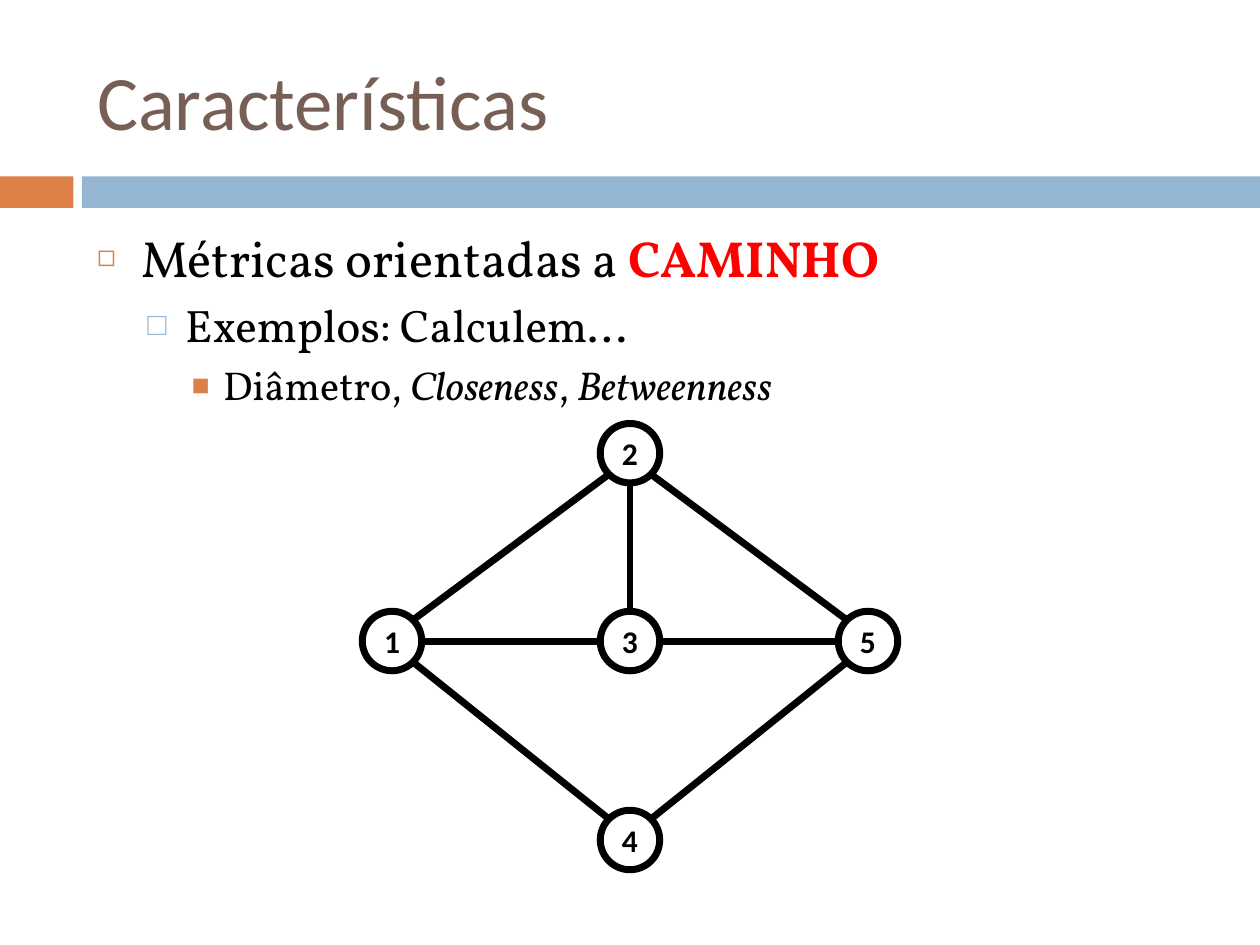
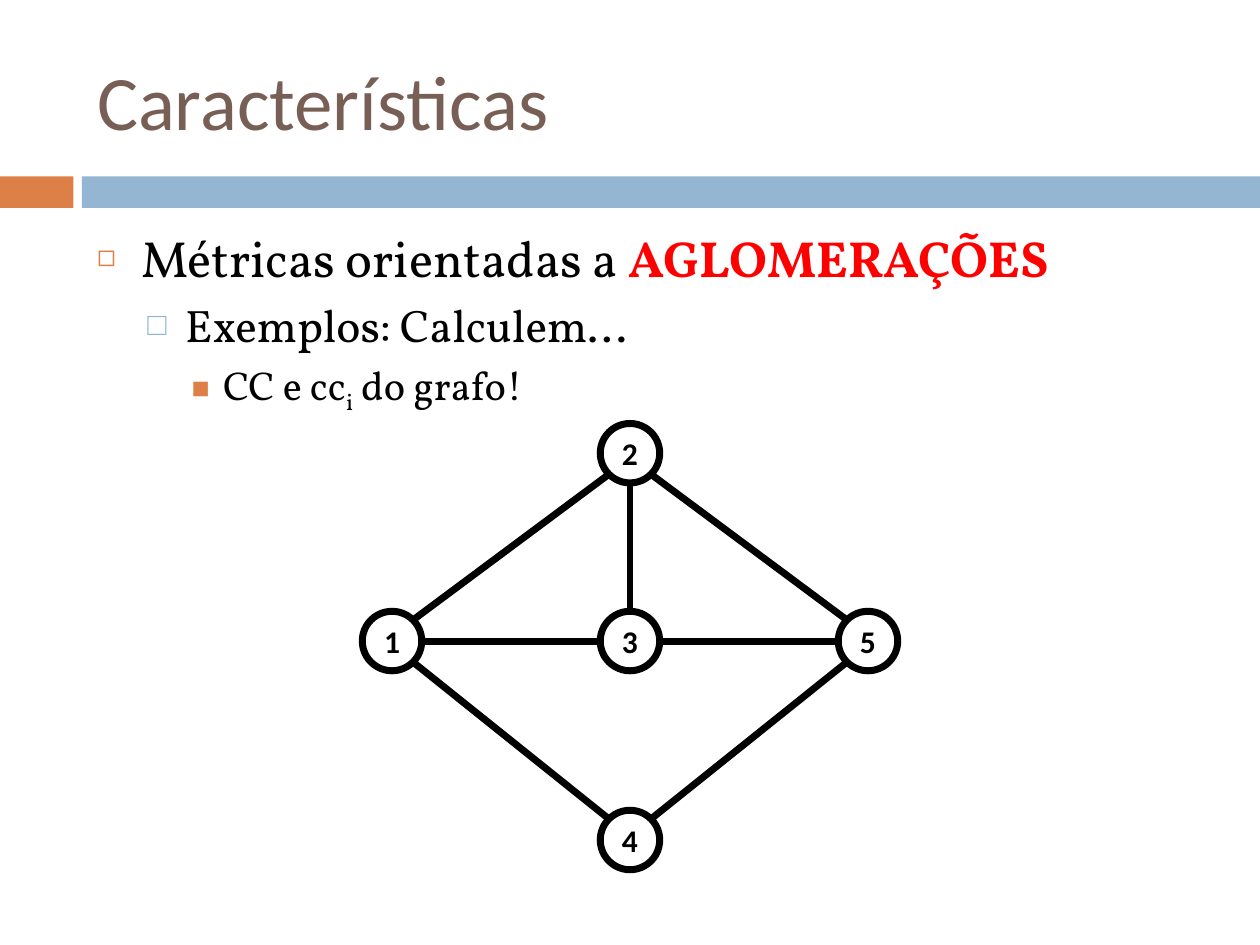
from math import sqrt

from lxml import etree
from pptx import Presentation
from pptx.dml.color import RGBColor
from pptx.enum import shapes, text
from pptx.oxml import ns
from pptx.util import Pt

ORANGE = RGBColor(0xDD, 0x80, 0x47)
BLUE = RGBColor(0x94, 0xB6, 0xD2)
BROWN = RGBColor(0x77, 0x5F, 0x55)
RED = RGBColor(0xFF, 0x00, 0x00)
BLACK = RGBColor(0x00, 0x00, 0x00)
WHITE = RGBColor(0xFF, 0xFF, 0xFF)

HEADING_FONT = "Calibri"
BODY_FONT = "Vollkorn"

# Per list level: size, left margin, hanging indent, space before, bullet, colour, bullet %
LEVELS = [
    (29, 25.2, 25.2, 0, "◻", ORANGE, 60),
    (26, 50.4, 21.6, 5.5, "□", BLUE, 70),
    (23, 72, 18, 5, "■", ORANGE, 75),
]

# Graph: node centres in points, and the pairs that are joined
RADIUS = 17
STROKE = 4
NODES = {
    "2": (360, 259),
    "5": (496, 366.3),
    "1": (224, 366.3),
    "4": (360, 480),
    "3": (360, 366.3),
}
EDGES = ["41", "12", "13", "23", "52", "54", "35"]


class Deck:
    def __init__(self):
        self.prs = Presentation()
        self.prs.slide_width, self.prs.slide_height = Pt(720), Pt(540)
        self.slide = None

    def new_slide(self, heading):
        self.slide = self.prs.slides.add_slide(self.prs.slide_layouts[1])
        self.band(0, 42, ORANGE)
        self.band(46.8, 673.2, BLUE)
        self.title(heading)

    def band(self, left, width, colour):
        band = self.slide.shapes.add_shape(
            shapes.MSO_SHAPE.RECTANGLE, Pt(left), Pt(100.8), Pt(width), Pt(18))
        band.shadow.inherit = False
        band.fill.solid()
        band.fill.fore_color.rgb = colour
        band.line.fill.background()

    def place(self, holder, top, height, anchor):
        holder.left, holder.top = Pt(48.24), Pt(top)
        holder.width, holder.height = Pt(642.24), Pt(height)
        frame = holder.text_frame
        frame.auto_size = text.MSO_AUTO_SIZE.NONE
        frame.word_wrap = True
        frame.vertical_anchor = anchor
        return frame

    def style(self, font, name, size, colour, bold=False):
        font.name, font.size, font.bold = name, Pt(size), bold
        font.color.rgb = colour

    def title(self, heading):
        frame = self.place(self.slide.shapes.title, 18, 77.76, text.MSO_ANCHOR.MIDDLE)
        frame.text = heading
        line = frame.paragraphs[0]
        line.alignment = text.PP_ALIGN.LEFT
        self.style(line.runs[0].font, HEADING_FONT, 44, BROWN)

    def bullet(self, paragraph, level):
        _, margin, hanging, _, symbol, colour, percent = LEVELS[level]
        props = paragraph._p.get_or_add_pPr()
        props.set("marL", str(Pt(margin)))
        props.set("indent", str(-Pt(hanging)))
        tint = etree.SubElement(props, ns.qn("a:buClr"))
        etree.SubElement(tint, ns.qn("a:srgbClr"), val=str(colour))
        etree.SubElement(props, ns.qn("a:buSzPct"), val=str(percent * 1000))
        etree.SubElement(props, ns.qn("a:buChar"), char=symbol)

    def outline(self, items):
        """One item per level; each item is a list of (text, emphasis) pieces."""
        body = self.slide.placeholders[1]
        frame = self.place(body, 126, 376.56, text.MSO_ANCHOR.TOP)
        for level, pieces in enumerate(items):
            item = frame.add_paragraph() if level else frame.paragraphs[0]
            item.level = level
            self.bullet(item, level)
            size, space = LEVELS[level][0], LEVELS[level][3]
            item.space_before = Pt(space)
            for words, emphasis in pieces:
                run = item.add_run()
                run.text = words
                strong = emphasis == "strong"
                self.style(run.font, BODY_FONT, size, RED if strong else BLACK, strong)
                run.font.italic = emphasis == "italic"
                if emphasis == "subscript":
                    run._r.get_or_add_rPr().set("baseline", "-25000")

    def node(self, group, label, centre):
        x, y = centre
        node = group.shapes.add_shape(
            shapes.MSO_SHAPE.OVAL, Pt(x - RADIUS), Pt(y - RADIUS),
            Pt(2 * RADIUS), Pt(2 * RADIUS))
        node.shadow.inherit = False
        node.fill.solid()
        node.fill.fore_color.rgb = WHITE
        node.line.color.rgb = BLACK
        node.line.width = Pt(STROKE)
        frame = node.text_frame
        frame.margin_left = frame.margin_right = frame.margin_top = frame.margin_bottom = 0
        frame.word_wrap = False
        frame.vertical_anchor = text.MSO_ANCHOR.MIDDLE
        frame.text = label
        frame.paragraphs[0].alignment = text.PP_ALIGN.CENTER
        self.style(frame.paragraphs[0].runs[0].font, HEADING_FONT, 18, BLACK, True)

    def edge(self, group, start, end):
        # Ends lie on the rim, at the nearest of eight compass points
        (x1, y1), (x2, y2) = start, end
        across, down = (x2 > x1) - (x2 < x1), (y2 > y1) - (y2 < y1)
        reach = RADIUS / sqrt(abs(across) + abs(down))
        dx, dy = across * reach, down * reach
        edge = group.shapes.add_connector(
            shapes.MSO_CONNECTOR.STRAIGHT,
            Pt(x1 + dx), Pt(y1 + dy), Pt(x2 - dx), Pt(y2 - dy))
        edge.line.color.rgb = BLACK
        edge.line.width = Pt(STROKE)
        etree.SubElement(edge._element.spPr, ns.qn("a:effectLst"))

    def graph(self):
        group = self.slide.shapes.add_group_shape()
        for label, centre in NODES.items():
            self.node(group, label, centre)
        for start, end in EDGES:
            self.edge(group, NODES[start], NODES[end])


def main():
    deck = Deck()

    # Subject of each slide, and the measures to calculate
    exercises = [
        ("CAMINHO", [("Diâmetro, ", None), ("Closeness", "italic"),
                     (", ", None), ("Betweenness", "italic")]),
        ("AGLOMERAÇÕES", [("CC e cc", None), ("i", "subscript"),
                          (" do grafo!", None)]),
    ]
    for subject, measures in exercises:
        deck.new_slide("Características")
        deck.outline([
            [("Métricas orientadas a ", None), (subject, "strong")],
            [("Exemplos: Calculem...", None)],
            measures,
        ])
        deck.graph()

    deck.prs.save("out.pptx")


if __name__ == "__main__":
    main()
